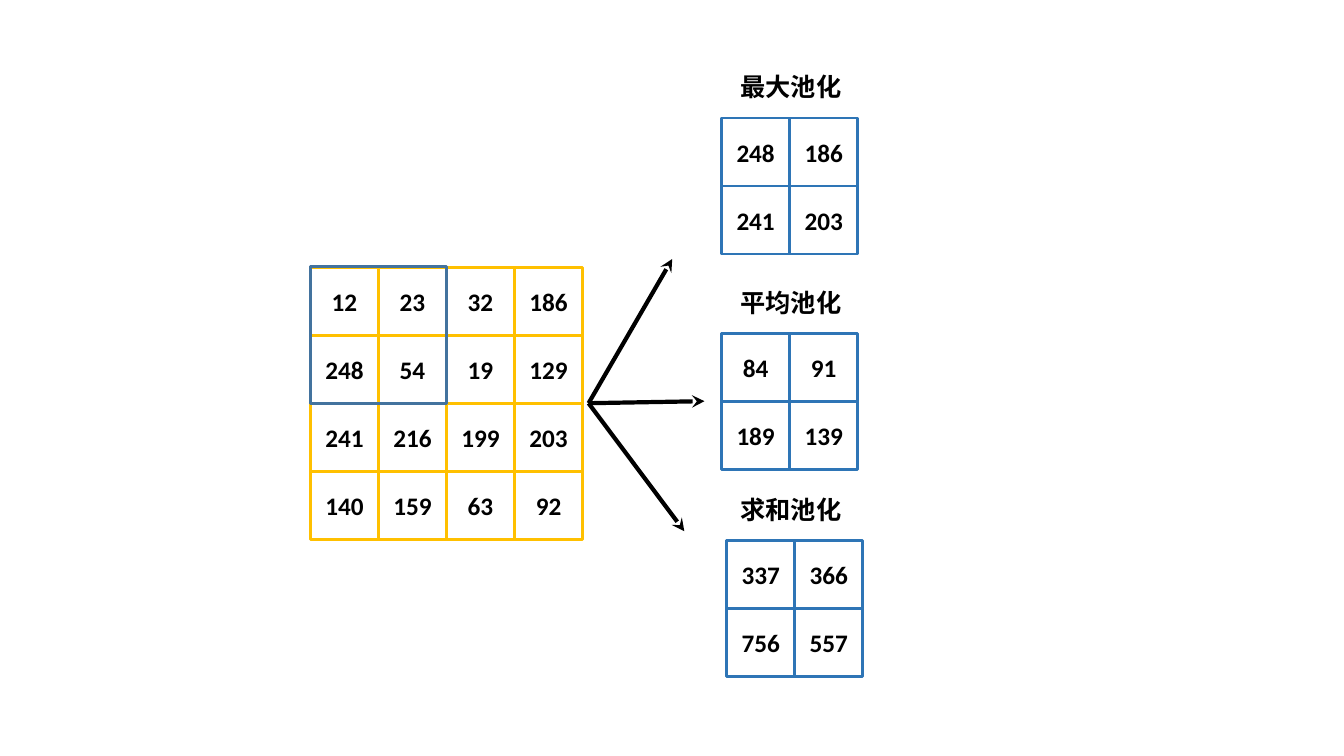
from pptx import Presentation
from pptx.dml.color import RGBColor
from pptx.enum.shapes import MSO_CONNECTOR as Connector, MSO_SHAPE as Preset
from pptx.enum.text import MSO_ANCHOR as Anchor, MSO_AUTO_SIZE as AutoSize, PP_ALIGN as Align
from pptx.oxml.ns import qn
from pptx.util import Emu, Pt
from lxml.etree import SubElement

PX = 4572
CELL = 135
BLACK = "000000"
AMBER = "FFC000"
BLUE = "2E75B6"
STEEL = "43739E"

INPUT_LEFT, INPUT_TOP = 616, 530
INPUT_VALUES = [
    [12, 23, 32, 186],
    [248, 54, 19, 129],
    [241, 216, 199, 203],
    [140, 159, 63, 92],
]
POOLINGS = [
    ("最大池化", 132, 1432, 234, [[248, 186], [241, 203]]),
    ("平均池化", 560, 1432, 662, [[84, 91], [189, 139]]),
    ("求和池化", 970, 1442, 1072, [[337, 366], [756, 557]]),
]
ARROW_START = (1168, 800)
ARROW_ENDS = [(1334, 514), (1358, 1054), (1398, 796)]


def px(*lengths):
    return [Emu(length * PX) for length in lengths]


def paint(color_format, color):
    color_format.rgb = RGBColor.from_string(color)


def write(shape, text, align):
    para = shape.text_frame.paragraphs[0]
    para.text = text
    para.alignment = align
    font = para.runs[0].font
    font.name = "Calibri"
    font.size = Pt(18)
    font.bold = True
    paint(font.color, BLACK)


def add_frame(page, left, top, width, height, color, weight):
    box = page.shapes.add_shape(Preset.RECTANGLE, *px(left, top, width, height))
    box.shadow.inherit = False
    box.fill.background()
    paint(box.line.color, color)
    box.line.width = Pt(weight)
    return box


def add_grid(page, left, top, values, color):
    for row, numbers in enumerate(values):
        for column, number in enumerate(numbers):
            box = add_frame(page, left + column * CELL, top + row * CELL,
                            CELL, CELL, color, 2)
            box.text_frame.vertical_anchor = Anchor.MIDDLE
            write(box, str(number), Align.CENTER)


def add_label(page, top, text):
    box = page.shapes.add_textbox(*px(1450, top, 252, 80))
    box.text_frame.word_wrap = True
    box.text_frame.auto_size = AutoSize.SHAPE_TO_FIT_TEXT
    write(box, text, Align.LEFT)


def add_arrow(page, start, end):
    arrow = page.shapes.add_connector(Connector.STRAIGHT, *px(*start, *end))
    paint(arrow.line.color, BLACK)
    arrow.line.width = Pt(3)
    SubElement(arrow.line._get_or_add_ln(), qn("a:tailEnd"), type="stealth")
    SubElement(arrow._element.spPr, qn("a:effectLst"))


def main():
    deck = Presentation()
    deck.slide_width, deck.slide_height = px(2667, 1500)
    page = deck.slides.add_slide(deck.slide_layouts[6])

    add_grid(page, INPUT_LEFT, INPUT_TOP, INPUT_VALUES, AMBER)
    add_frame(page, INPUT_LEFT, 528, 2 * CELL, 272, STEEL, 2.25)
    for end in ARROW_ENDS:
        add_arrow(page, ARROW_START, end)
    for name, label_top, left, top, values in POOLINGS:
        add_grid(page, left, top, values, BLUE)
        add_label(page, label_top, name)

    deck.save("out.pptx")


if __name__ == "__main__":
    main()
